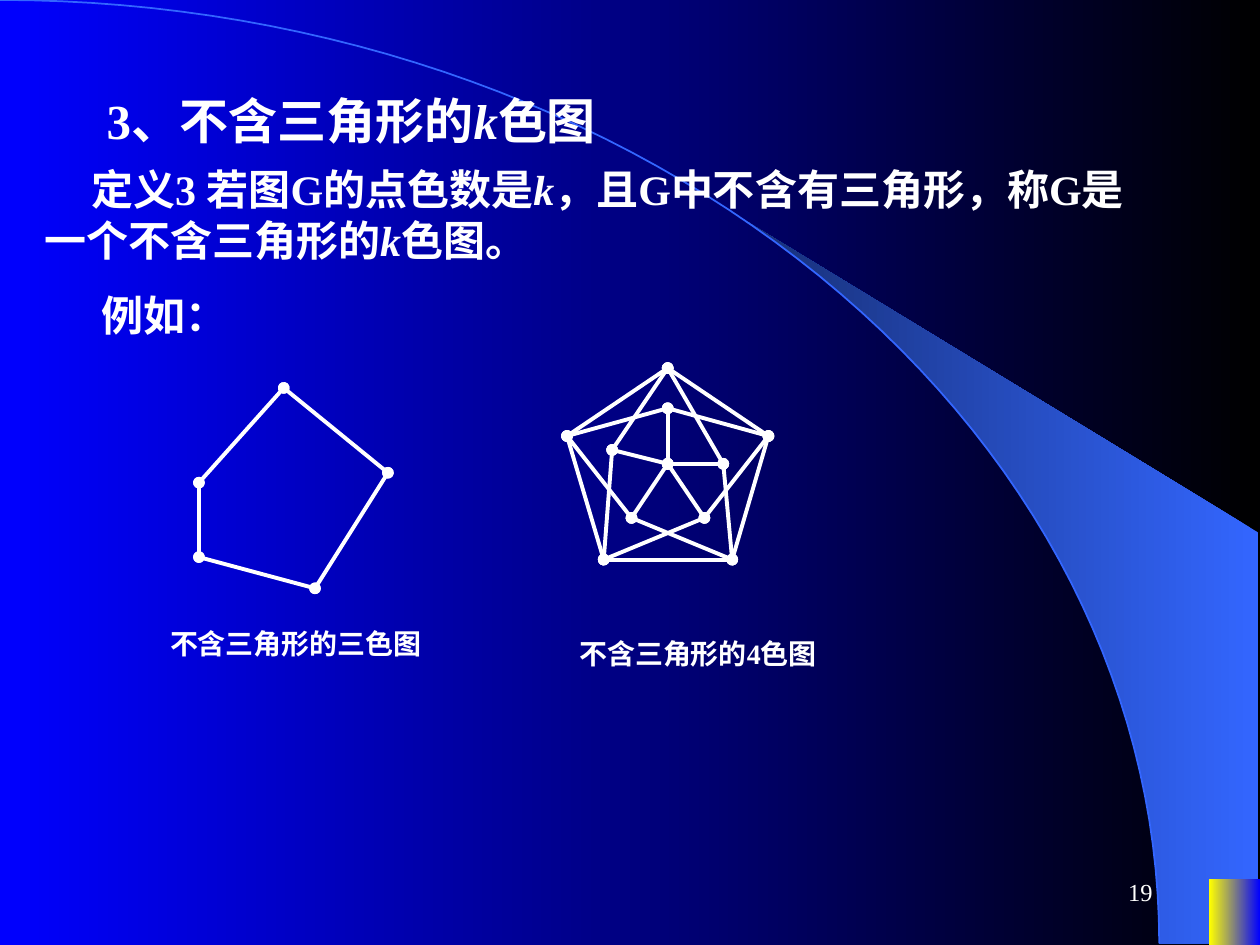
from math import cos, radians, sin

from lxml import etree
from pptx import Presentation
from pptx import util as u
from pptx.dml.color import RGBColor
from pptx.enum import lang, shapes, text
from pptx.oxml.ns import qn

THEME = {
    "font": "Times New Roman",
    "white": "FFFFFF", "black": "000000", "blue": "0000FF",
    "sky": "3366FF", "navy": "172F75", "yellow": "FFFF00",
    "heading": 28, "body": 24, "caption": 16, "number": 14,
    "edge": 2.25, "arc": 1,
}

SLIDE = (25.4, 19.05)
ARC_RADII = (23.37, 19.02)
BAND_START = 39.8
BAND_CORNERS = [(25.37, 19.02), (25.37, 10.74)]
CORNER_BLOCK = (24.38, 17.73, 1.02, 1.32)

PARAGRAPHS = [
    {"box": (0.64, 3.18, 22.43, 2.29), "size": "body", "indent": 0.95,
     "runs": [("定义3 若图G的点色数是", False), ("k", True),
              ("，且G中不含有三角形，称G是一个不含三角形的", False),
              ("k", True), ("色图。", False)]},
    {"box": (0.84, 1.7, 21.59, 1.45), "size": "heading", "indent": 1.06,
     "runs": [("3、不含三角形的", False), ("k", True), ("色图", False)]},
    {"box": (0.84, 5.72, 22.43, 1.27), "size": "body", "indent": 0.95,
     "runs": [("例如：", False)]},
]
PAGE_NUMBER = ("19", (18.21, 17.35, 5.28, 1.27))

FIVE_CYCLE = [(5.72, 7.82), (7.82, 9.53), (6.35, 11.86), (4.01, 11.23), (4.01, 9.73)]
OUTER = [(13.46, 7.42), (15.49, 8.79), (14.76, 11.28), (12.17, 11.28), (11.43, 8.79)]
INNER = [(13.46, 8.23), (14.58, 9.35), (14.2, 10.44), (12.73, 10.44), (12.34, 9.07)]
CENTRE = (13.46, 9.35)


def cycle(points):
    return list(zip(points, points[1:] + points[:1]))


def mycielski(outer, inner, centre):
    n = len(outer)
    edges = cycle(outer)
    for i, point in enumerate(inner):
        edges += [(point, outer[i - 1]), (point, outer[(i + 1) % n]), (point, centre)]
    return edges


GRAPHS = [
    {"edges": cycle(FIVE_CYCLE), "caption": "不含三角形的三色图",
     "box": (3.18, 12.5, 5.72, 0.94)},
    {"edges": mycielski(OUTER, INNER, CENTRE), "caption": "不含三角形的4色图",
     "box": (11.43, 12.7, 6.35, 0.94)},
]


def color(name):
    return RGBColor.from_string(THEME[name])


def cm(values):
    return [u.Cm(v) for v in values]


def gradient(fill, first, last):
    fill.gradient()
    fill.gradient_angle = 180
    for stop, name in zip(fill.gradient_stops, (first, last)):
        stop.color.rgb = color(name)


def arc_points(start, end, steps):
    rx, ry = ARC_RADII
    angles = [radians(start + (end - start) * i / steps) for i in range(steps + 1)]
    return [(rx * sin(a), ry * (1 - cos(a))) for a in angles]


def add_outline(parent, points, close):
    first, *rest = [cm(p) for p in points]
    builder = parent.build_freeform(*first)
    builder.add_line_segments(rest, close=close)
    sp = builder.convert_to_shape()
    sp.shadow.inherit = False
    return sp


def add_text(parent, box, runs, size, bold=True, indent=0):
    tf = parent.add_textbox(*cm(box)).text_frame
    tf.word_wrap = True
    tf.auto_size = text.MSO_AUTO_SIZE.SHAPE_TO_FIT_TEXT
    p = tf.paragraphs[0]
    if indent:
        p._p.get_or_add_pPr().set("indent", str(u.Cm(indent)))
    for words, italic in runs:
        r = p.add_run()
        r.text = words
        font = r.font
        font.name = THEME["font"]
        font.size = u.Pt(THEME[size])
        font.bold = bold
        font.italic = italic
        font.color.rgb = color("white")
        font.language_id = lang.MSO_LANGUAGE_ID.SIMPLIFIED_CHINESE
    return tf


def add_edge(parent, start, end):
    c = parent.add_connector(shapes.MSO_CONNECTOR.STRAIGHT, *cm(start), *cm(end))
    c.line.color.rgb = color("white")
    c.line.width = u.Pt(THEME["edge"])
    for tag in ("a:headEnd", "a:tailEnd"):
        etree.SubElement(c.line._ln, qn(tag), type="oval")
    etree.SubElement(c._element.spPr, qn("a:effectLst"))


def add_backdrop(s):
    gradient(s.background.fill, "black", "blue")

    band = add_outline(s.shapes, arc_points(BAND_START, 90, 30) + BAND_CORNERS, True)
    gradient(band.fill, "sky", "navy")
    band.line.fill.background()

    arc = add_outline(s.shapes, arc_points(0, 90, 60), False)
    arc.fill.background()
    arc.line.color.rgb = color("sky")
    arc.line.width = u.Pt(THEME["arc"])

    block = s.shapes.add_shape(shapes.MSO_SHAPE.RECTANGLE, *cm(CORNER_BLOCK))
    block.shadow.inherit = False
    gradient(block.fill, "blue", "yellow")
    block.line.fill.background()


def main():
    prs = Presentation()
    prs.slide_width, prs.slide_height = cm(SLIDE)
    s = prs.slides.add_slide(prs.slide_layouts[6])

    add_backdrop(s)
    for item in PARAGRAPHS:
        add_text(s.shapes, item["box"], item["runs"], item["size"], indent=item["indent"])

    for graph in GRAPHS:
        group = s.shapes.add_group_shape().shapes
        for start, end in graph["edges"]:
            add_edge(group, start, end)
        add_text(group, graph["box"], [(graph["caption"], False)], "caption")

    number, box = PAGE_NUMBER
    tf = add_text(s.shapes, box, [(number, False)], "number", bold=False)
    tf.auto_size = text.MSO_AUTO_SIZE.NONE
    tf.vertical_anchor = text.MSO_ANCHOR.MIDDLE
    tf.paragraphs[0].alignment = text.PP_ALIGN.RIGHT

    prs.save("out.pptx")


if __name__ == "__main__":
    main()
